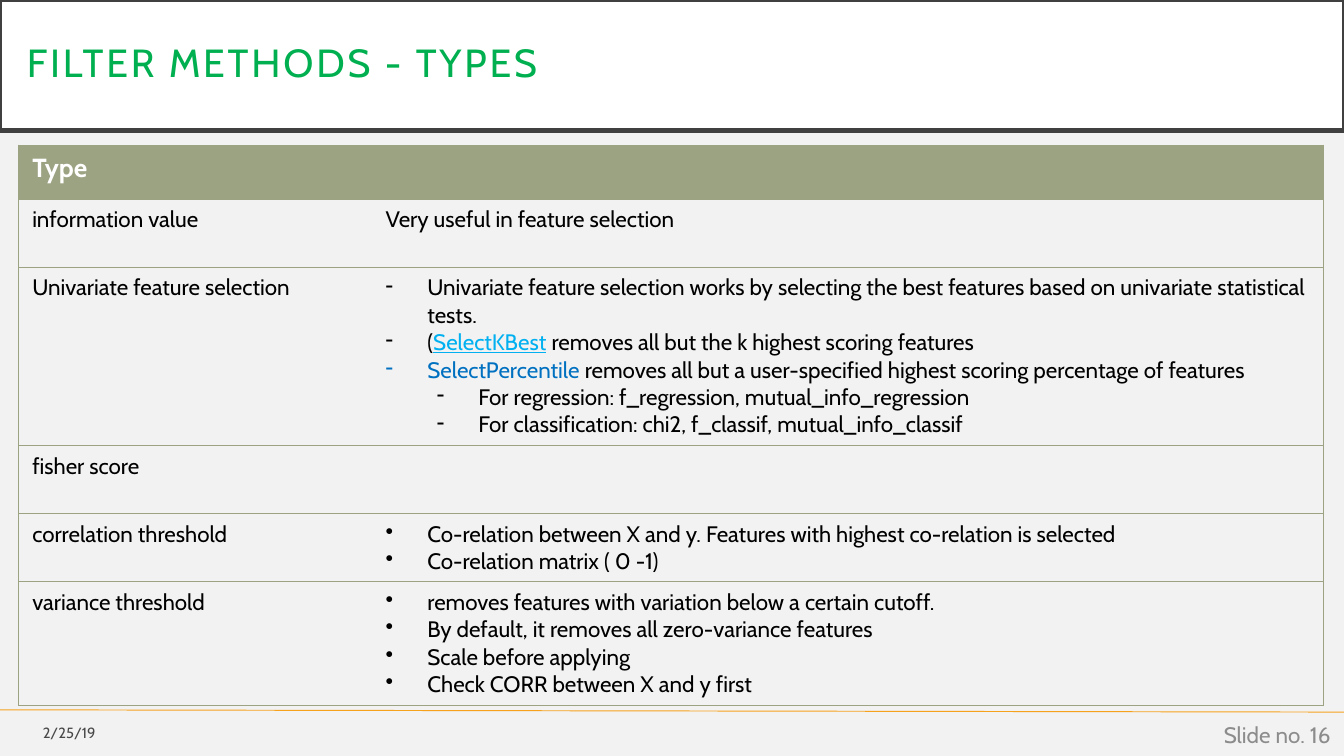
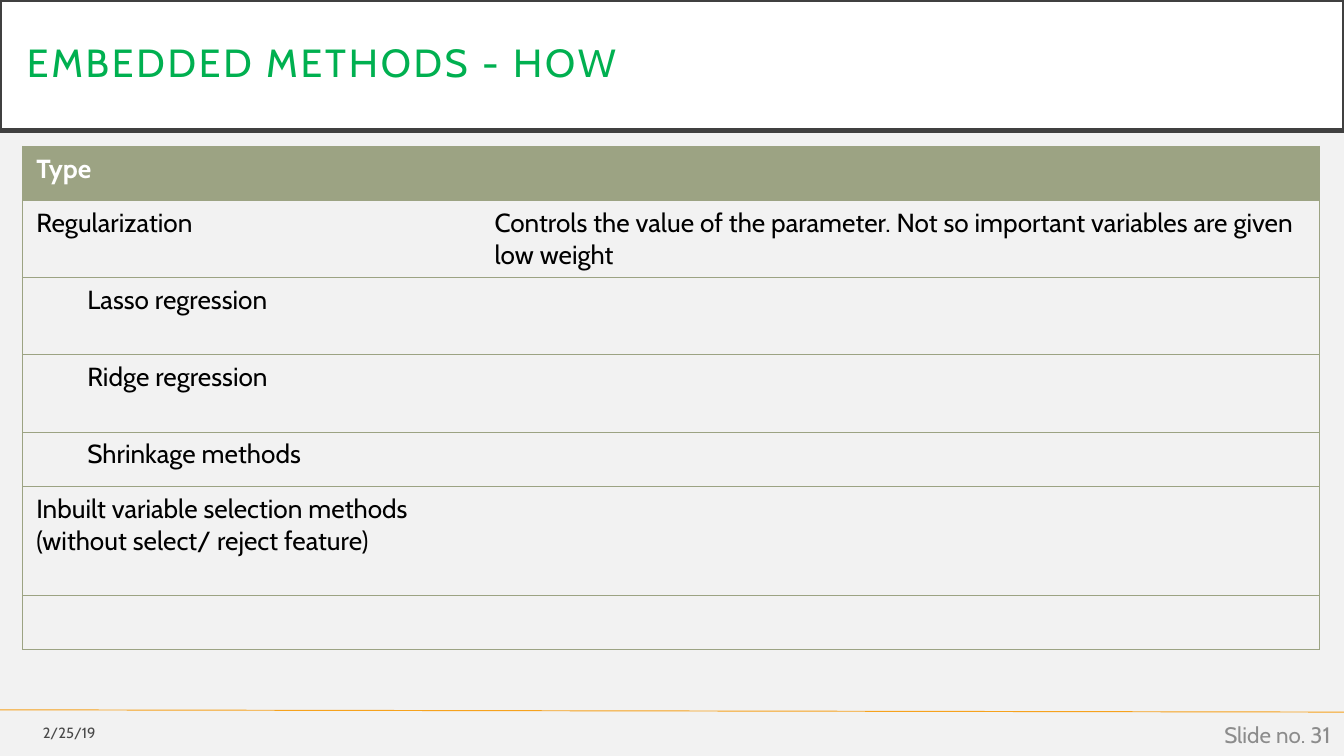
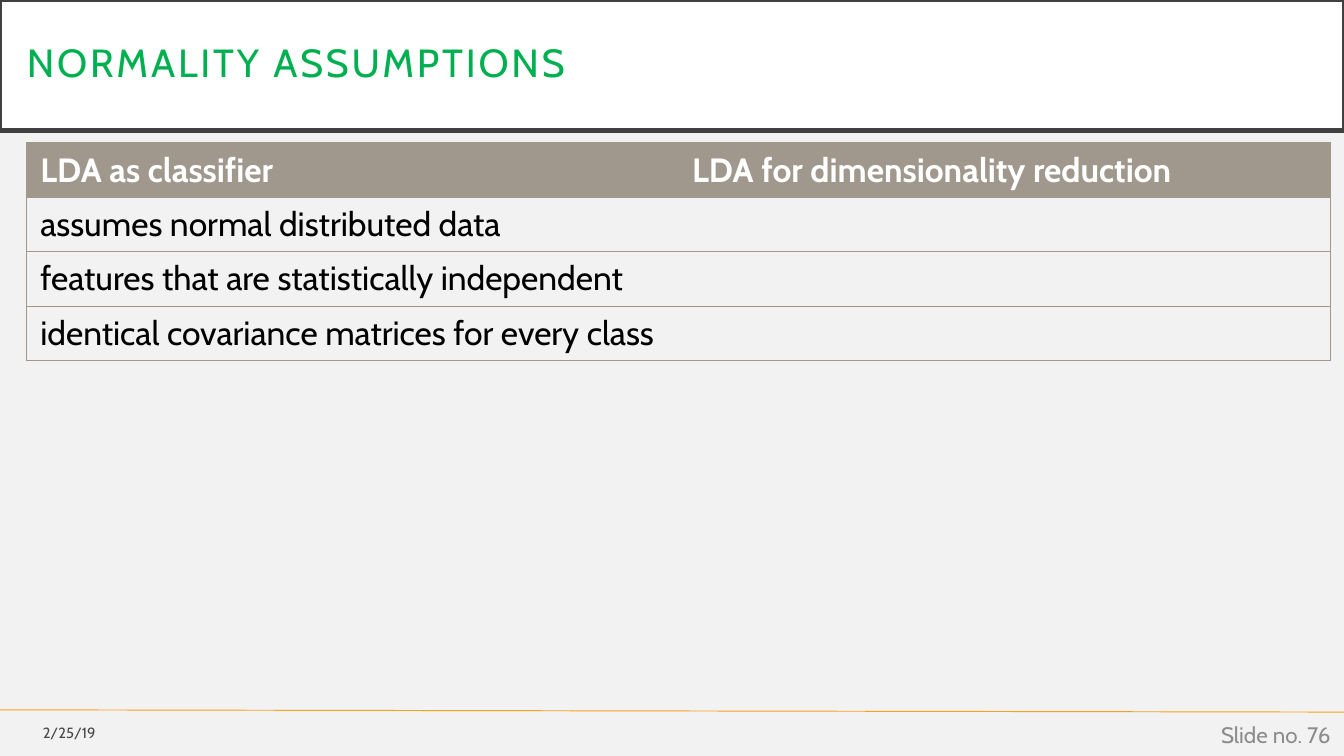
from dataclasses import dataclass

import pptx
import pptx.dml.color
import pptx.enum.shapes
import pptx.enum.text
import pptx.oxml
import pptx.oxml.ns
import pptx.util
from lxml import etree

SLIDE_WIDTH = pptx.util.Inches(10)
SLIDE_HEIGHT = pptx.util.Inches(5.625)


@dataclass(frozen=True)
class Theme:
    font: str = "Cabin"
    background: str = "F2F2F2"
    band: str = "FFFFFF"
    band_edge: str = "404040"
    title: str = "00B050"
    footer_rule: str = "F6A21D"
    slide_number: str = "8C8C8C"
    text: str = "000000"
    header_text: str = "FFFFFF"
    link: str = "00B0F0"
    function: str = "0070C0"
    olive: str = "9CA383"
    taupe: str = "A0988C"
    title_size: float = 21
    date_size: float = 7.9
    small_size: float = 12
    medium_size: float = 14
    large_size: float = 18
    hairline: float = 0.5
    band_line: float = 2.5


THEME = Theme()


@dataclass(frozen=True)
class Item:
    """A paragraph: runs of (text, colour, underlined), with indents in inches."""
    runs: tuple
    bullet: str = ""
    level: int = 0
    left: float = 0
    hanging: float = 0


def plain(text, **layout):
    return Item(((text, THEME.text, False),), **layout)


def bulleted(bullet, *runs):
    return Item(runs, bullet, left=0.31, hanging=0.31)


def dash(*runs):
    return bulleted("-", *runs)


def dot(text):
    return bulleted("•", (text, THEME.text, False))


def sub_dash(text):
    return plain(text, bullet="-", level=1, left=0.69, hanging=0.31)


def nested(text):
    return plain(text, level=1, left=0.38)


def col(share):
    """Length of a percentage of the slide's width."""
    return round(SLIDE_WIDTH * share / 100)


def row(share):
    """Length of a percentage of the slide's height."""
    return round(SLIDE_HEIGHT * share / 100)


def rgb(colour):
    return pptx.dml.color.RGBColor.from_string(colour)


def style_font(font, size, colour, bold=False):
    font.name = THEME.font
    font.size = pptx.util.Pt(size)
    font.bold = bold
    font.color.rgb = rgb(colour)


def add_title(slide, title):
    band = slide.shapes.add_shape(
        pptx.enum.shapes.MSO_SHAPE.RECTANGLE, 0, 0, SLIDE_WIDTH, row(17.25))
    band.shadow.inherit = False
    band.fill.solid()
    band.fill.fore_color.rgb = rgb(THEME.band)
    band.line.color.rgb = rgb(THEME.band_edge)
    band.line.width = pptx.util.Pt(THEME.band_line)
    frame = band.text_frame
    frame.word_wrap = True
    frame.vertical_anchor = pptx.enum.text.MSO_ANCHOR.MIDDLE
    frame.margin_left = frame.margin_right = col(2)
    frame.margin_top = frame.margin_bottom = col(2)
    frame.text = title
    heading = frame.paragraphs[0]
    heading.alignment = pptx.enum.text.PP_ALIGN.LEFT
    heading.line_spacing = 0.9
    style_font(heading.runs[0].font, THEME.title_size, THEME.title)
    heading.runs[0].font._element.set("spc", "150")


def add_footer_text(slide, text, left, top, width, height, size, colour):
    """Add right-aligned footer text and return its font."""
    footer = slide.shapes.add_textbox(col(left), row(top), col(width), row(height))
    frame = footer.text_frame
    frame.word_wrap = True
    frame.vertical_anchor = pptx.enum.text.MSO_ANCHOR.MIDDLE
    frame.text = text
    frame.paragraphs[0].alignment = pptx.enum.text.PP_ALIGN.RIGHT
    font = frame.paragraphs[0].runs[0].font
    style_font(font, size, colour)
    return font


def add_footer_rule(slide):
    rule = slide.shapes.add_connector(
        pptx.enum.shapes.MSO_CONNECTOR.STRAIGHT, 0, row(93.9), SLIDE_WIDTH, row(94.2))
    rule.line.color.rgb = rgb(THEME.footer_rule)
    rule.line.width = pptx.util.Pt(THEME.hairline)
    etree.SubElement(rule._element.spPr, pptx.oxml.ns.qn("a:effectLst"))


def add_slide(deck, title, number):
    slide = deck.slides.add_slide(deck.slide_layouts[6])
    add_footer_rule(slide)
    add_title(slide, title)
    date_font = add_footer_text(slide, "2/25/19", 0, 94.45, 8.1, 4.8,
                                THEME.date_size, THEME.text)
    colour = date_font._element.find(".//" + pptx.oxml.ns.qn("a:srgbClr"))
    etree.SubElement(colour, pptx.oxml.ns.qn("a:alpha"), val="70000")
    add_footer_text(slide, f"Slide no. {number}", 77.5, 94.55, 22.5, 5.3,
                    THEME.small_size, THEME.slide_number)
    return slide


def set_borders(cell, colour, sides):
    """Draw the named sides (L, R, T, B) and clear the others."""
    properties = cell._tc.get_or_add_tcPr()
    for position, side in enumerate("LRTB"):
        if side in sides:
            paint = f'<a:solidFill><a:srgbClr val="{colour}"/></a:solidFill>'
        else:
            paint = "<a:noFill/>"
        properties.insert(position, pptx.oxml.parse_xml(
            f'<a:ln{side} {pptx.oxml.ns.nsdecls("a")} '
            f'w="{pptx.util.Pt(THEME.hairline)}">{paint}</a:ln{side}>'))


def write_item(paragraph, item, size):
    paragraph.level = item.level
    properties = paragraph._p.get_or_add_pPr()
    properties.set("marL", str(pptx.util.Inches(item.left)))
    properties.set("indent", str(-pptx.util.Inches(item.hanging)))
    if item.bullet:
        etree.SubElement(properties, pptx.oxml.ns.qn("a:buChar"), char=item.bullet)
    for text, colour, underlined in item.runs:
        run = paragraph.add_run()
        run.text = text
        style_font(run.font, size, colour)
        run.font.underline = underlined


def write_header(cell, text, size, accent):
    cell.fill.solid()
    cell.fill.fore_color.rgb = rgb(accent)
    cell.text = text
    style_font(cell.text_frame.paragraphs[0].font, size, THEME.header_text, True)
    for run in cell.text_frame.paragraphs[0].runs:
        style_font(run.font, size, THEME.header_text, True)


def write_body(cell, items, size):
    cell.fill.background()
    frame = cell.text_frame
    frame.paragraphs[0].font.size = pptx.util.Pt(size)
    for index, item in enumerate(items):
        paragraph = frame.add_paragraph() if index else frame.paragraphs[0]
        write_item(paragraph, item, size)


def add_type_table(slide, left, top, widths, heights, header, body,
                   header_size, body_size, accent):
    """Add a table whose body rows hold one list of items per cell."""
    table = slide.shapes.add_table(
        len(heights), len(widths), col(left), row(top),
        col(sum(widths)), row(sum(heights))).table
    table.first_row = table.horz_banding = False
    for column, width in zip(table.columns, widths):
        column.width = col(width)
    for table_row, height in zip(table.rows, heights):
        table_row.height = row(height)
    for c, text in enumerate(header):
        write_header(table.cell(0, c), text, header_size, accent)
    for r, contents in enumerate(body, start=1):
        for c, items in enumerate(contents):
            write_body(table.cell(r, c), items, body_size)
    for table_row in table.rows:
        for cell, outer_side in zip(table_row.cells, "LR"):
            set_borders(cell, accent, "TB" + outer_side)


def add_filter_methods(deck):
    slide = add_slide(deck, "FILTER METHODS - TYPES", 16)
    body = [
        ([plain("information value")],
         [plain("Very useful in feature selection")]),
        ([plain("Univariate feature selection")], [
            dash(("Univariate feature selection works by selecting the best features "
                  "based on univariate statistical tests.", THEME.text, False)),
            dash(("(", THEME.text, False),
                 ("SelectKBest", THEME.link, True),
                 (" removes all but the k highest scoring features",
                  THEME.text, False)),
            dash(("SelectPercentile", THEME.function, False),
                 (" removes all but a user-specified highest scoring percentage "
                  "of features", THEME.text, False)),
            sub_dash("For regression: f_regression, mutual_info_regression"),
            sub_dash("For classification: chi2, f_classif, mutual_info_classif"),
        ]),
        ([plain("fisher score")], []),
        ([plain("correlation threshold")], [
            dot("Co-relation between X and y. Features with highest co-relation "
                "is selected"),
            dot("Co-relation matrix ( 0 -1)"),
        ]),
        ([plain("variance threshold")], [
            dot("removes features with variation below a certain cutoff."),
            dot("By default, it removes all zero-variance features"),
            dot("Scale before applying"),
            dot("Check CORR between X and y first"),
        ]),
    ]
    add_type_table(slide, 1.4, 19.2, [26.3, 70.8], [7.2, 9, 23.6, 9, 9, 16.3],
                   ["Type", ""], body, THEME.medium_size, THEME.small_size,
                   THEME.olive)


def add_embedded_methods(deck):
    slide = add_slide(deck, "EMBEDDED METHODS - HOW", 31)
    body = [
        ([plain("Regularization")],
         [plain("Controls the value of the parameter. Not so important variables "
                "are given low weight")]),
        ([nested("Lasso regression")], []),
        ([nested("Ridge regression")], []),
        ([nested("Shrinkage methods")], []),
        ([plain("Inbuilt variable selection methods "
                "(without select/ reject feature)")], []),
        ([], []),
    ]
    add_type_table(slide, 1.7, 19.35, [34.1, 62.4],
                   [7.2, 10.2, 10.2, 10.2, 7.2, 14.4, 7.2],
                   ["Type", ""], body, THEME.medium_size, THEME.medium_size,
                   THEME.olive)


def add_normality_assumptions(deck):
    slide = add_slide(deck, "NORMALITY ASSUMPTIONS", 76)
    assumptions = ["assumes normal distributed data",
                   "features that are statistically independent",
                   "identical covariance matrices for every class"]
    add_type_table(slide, 2, 18.9, [48.5] * 2, [7.2] * 4,
                   ["LDA as classifier", "LDA for dimensionality reduction"],
                   [([plain(assumption)], []) for assumption in assumptions],
                   THEME.large_size, THEME.large_size, THEME.taupe)


def main():
    deck = pptx.Presentation()
    deck.slide_width = SLIDE_WIDTH
    deck.slide_height = SLIDE_HEIGHT
    deck.slide_master.background.fill.solid()
    deck.slide_master.background.fill.fore_color.rgb = rgb(THEME.background)
    add_filter_methods(deck)
    add_embedded_methods(deck)
    add_normality_assumptions(deck)
    deck.save("out.pptx")


if __name__ == "__main__":
    main()
